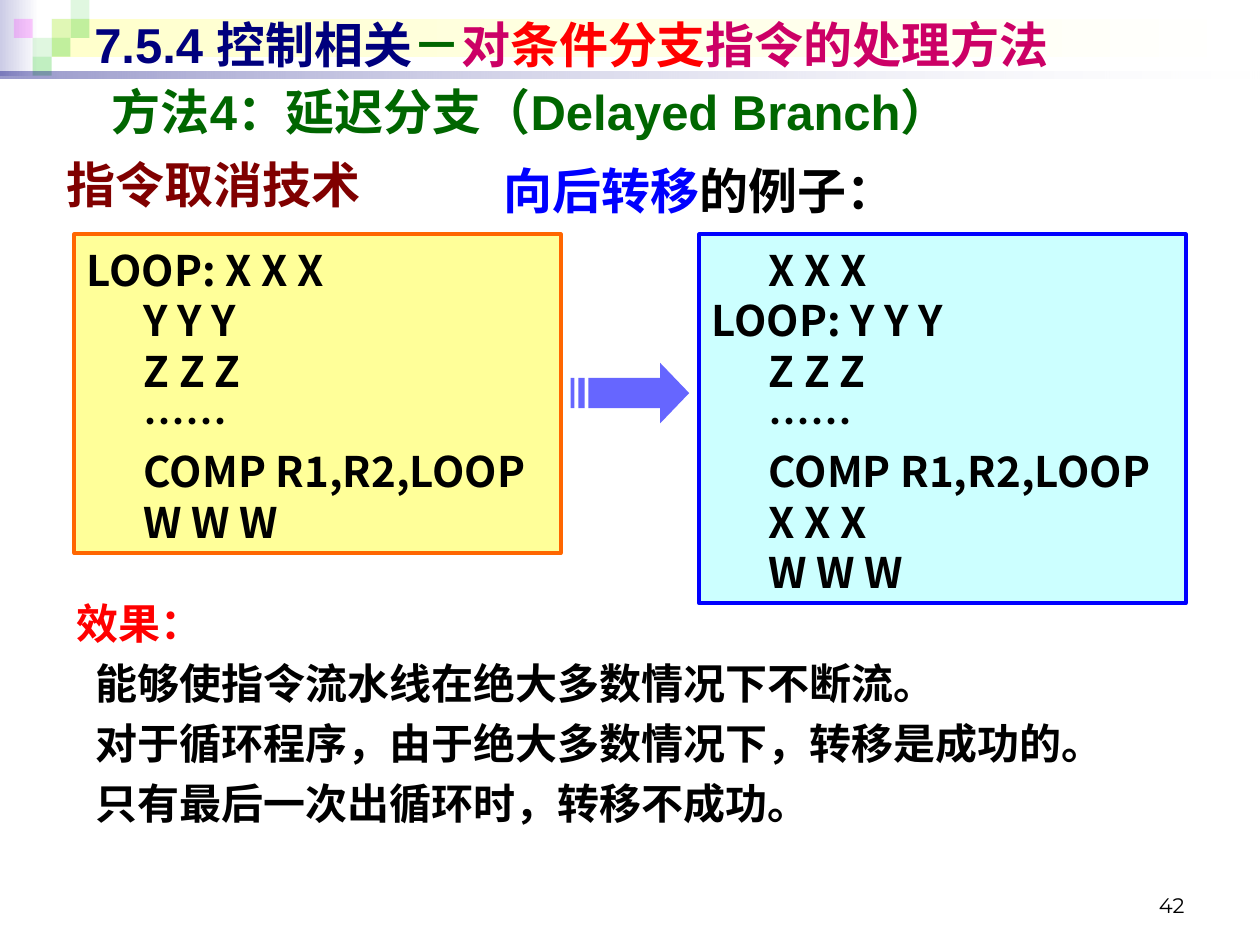
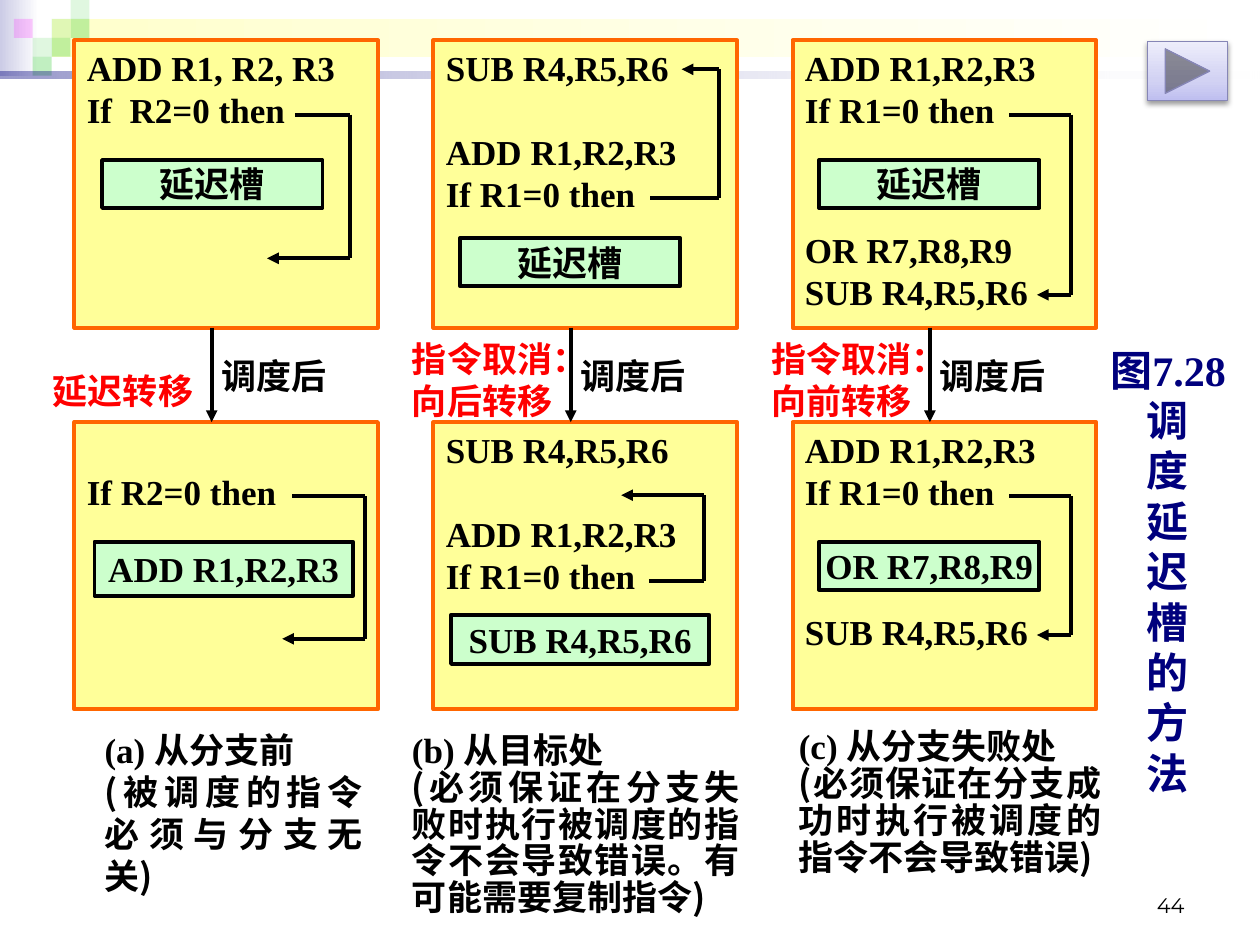
from dataclasses import dataclass
from itertools import pairwise

from lxml.etree import SubElement
from pptx import Presentation
from pptx.dml.color import RGBColor
from pptx.enum.shapes import MSO_CONNECTOR, MSO_SHAPE
from pptx.enum.text import MSO_ANCHOR, PP_ALIGN
from pptx.oxml.ns import qn
from pptx.util import Inches, Pt

COLORS = {
    "black": "000000", "white": "FFFFFF", "navy": "00007D", "green": "006600",
    "magenta": "CC0066", "red": "FF0000", "blue": "0000FF", "maroon": "800000",
    "orange": "FF6600", "yellow": "FFFF99", "cyan": "CCFFFF", "mint": "CCFFCC",
    "violet": "6666FF", "lilac": "CCCCE6", "cream": "FFFFCC", "leaf": "33CC33",
    "fuchsia": "FF00FF", "button_dark": "BFBFF0", "button_mid": "D2D2F3",
    "button_light": "EDEDFB", "button_edge": "8686B6",
}
SANS, SERIF, ARIAL = "Noto Sans CJK SC", "Times New Roman", "Arial"
CELL = 0.1
COLUMN_LEFT, COLUMN_PITCH = 5.9, 28.5
BOX_WIDTH, BOX_HEIGHT = 24.1, 22.8
ROW_TOPS = (3.2, 33.5)
BLANK_LINE = 24


@dataclass
class Line:
    runs: list
    gap: float = 0
    spacing: float = 1
    indent: float = 0


@dataclass
class Style:
    size: int = 20
    font: str = SERIF
    color: str = "black"
    bold: bool = True
    align: PP_ALIGN = PP_ALIGN.LEFT
    anchor: MSO_ANCHOR = MSO_ANCHOR.TOP
    inset: tuple = (0.1, 0.08)


LABEL = Style(align=PP_ALIGN.JUSTIFY, inset=(0, 0.03))
RED_LABEL = Style(color="red", align=PP_ALIGN.JUSTIFY, inset=(0, 0.03))
SLOT = Style(align=PP_ALIGN.CENTER, anchor=MSO_ANCHOR.MIDDLE, inset=(0, 0))
LOOP_CODE = Style(size=24, font=SANS)


def rgb(name):
    return RGBColor.from_string(COLORS[name])


def cells(*values):
    return [Inches(value * CELL) for value in values]


def write(shape, lines, style):
    frame = shape.text_frame
    frame.word_wrap = True
    frame.vertical_anchor = style.anchor
    side, top = style.inset
    frame.margin_left = frame.margin_right = Inches(side)
    frame.margin_top, frame.margin_bottom = Inches(top), Inches(min(top, 0.05))
    for index, line in enumerate(lines):
        if isinstance(line, str):
            line = Line([(line,)])
        para = frame.paragraphs[0] if index == 0 else frame.add_paragraph()
        para.alignment = style.align
        para.line_spacing = Pt(round(style.size * 1.2 * line.spacing, 1))
        para.space_before = Pt(line.gap)
        if line.indent:
            para._p.get_or_add_pPr().set("marL", str(Inches(line.indent)))
        for text, *look in line.runs:
            color, font = (*look, None, None)[:2]
            span = para.add_run()
            span.text = text
            span.font.size = Pt(style.size)
            span.font.bold = style.bold
            span.font.color.rgb = rgb(color or style.color)
            span.font.name = font or style.font
            latin = span._r.rPr.find(qn("a:latin"))
            east_asian = SubElement(span._r.rPr, qn("a:ea"), typeface=SANS)
            latin.addnext(east_asian)


def text_box(page, place, lines, style):
    write(page.shapes.add_textbox(*cells(*place)), lines, style)


def panel(page, place, fill=None, line=None, width=2.25, kind=MSO_SHAPE.RECTANGLE):
    shape = page.shapes.add_shape(kind, *cells(*place))
    shape.shadow.inherit = False
    if fill:
        shape.fill.solid()
        shape.fill.fore_color.rgb = rgb(fill)
    if line:
        shape.line.color.rgb = rgb(line)
        shape.line.width = Pt(width)
    else:
        shape.line.fill.background()
    return shape


def text_panel(page, place, fill, line, lines, style):
    write(panel(page, place, fill, line), lines, style)


def add_alpha(color, percent):
    SubElement(color, qn("a:alpha"), val=str(percent * 1000))


def gradient(shape, stops, angle=0):
    properties = shape._element.spPr
    grad = SubElement(properties, qn("a:gradFill"), rotWithShape="1")
    properties.find(qn("a:prstGeom")).addnext(grad)
    stop_list = SubElement(grad, qn("a:gsLst"))
    for position, color, alpha in stops:
        stop = SubElement(stop_list, qn("a:gs"), pos=str(position * 1000))
        add_alpha(SubElement(stop, qn("a:srgbClr"), val=COLORS[color]), alpha)
    SubElement(grad, qn("a:lin"), ang=str(angle * 60000), scaled="0")


def segment(page, start, end, arrow=False):
    line = page.shapes.add_connector(MSO_CONNECTOR.STRAIGHT, *cells(*start, *end))
    line.line.color.rgb = rgb("black")
    line.line.width = Pt(2.25)
    if arrow:
        SubElement(line.line._get_or_add_ln(), qn("a:tailEnd"), type="triangle")
    SubElement(line._element.spPr, qn("a:effectLst"))


def branch_path(page, left, top, start, elbow, end, first_row, last_row):
    points = [(start, first_row), (elbow, first_row), (elbow, last_row), (end, last_row)]
    points = [(left + column, top + row) for column, row in points]
    for index, (begin, finish) in enumerate(pairwise(points)):
        segment(page, begin, finish, arrow=index == 2)


def decorate(page, number):
    gradient(panel(page, (0, 0, 3.1, 6)), [(0, "lilac", 100), (100, "white", 100)])
    gradient(panel(page, (4.1, 1.5, 95.5, 3)), [(0, "cream", 100), (100, "white", 100)])
    tiles = [(2, 1, "leaf", 15), (3, 0, "leaf", 15), (3, 1, "leaf", 30),
             (1, 2, "leaf", 15), (0, 1, "fuchsia", 20), (2, 2, "leaf", 30),
             (1, 3, "leaf", 30)]
    for column, row, color, alpha in tiles:
        tile = panel(page, (1.1 + 1.5 * column, 1.5 * row, 1.5, 1.5), color)
        add_alpha(tile._element.spPr.find(qn("a:solidFill"))[0], alpha)
    gradient(panel(page, (0, 5.7, 100, 0.5)), [(0, "navy", 40), (100, "white", 10)])
    text_box(page, (71.7, 68.3, 23.3, 5), [str(number)],
             Style(12, "Montserrat", bold=False, align=PP_ALIGN.RIGHT,
                   anchor=MSO_ANCHOR.BOTTOM, inset=(0.1, 0.05)))


def new_page(deck, number):
    page = deck.slides.add_slide(deck.slide_layouts[6])
    decorate(page, number)
    return page


def striped_arrow(page, left, top):
    outlines = [
        [(7.1, 0), (7.1, 1.2), (1.4, 1.2), (1.4, 3.6), (7.1, 3.6), (7.1, 4.8), (9.4, 2.4)],
        [(0.6, 1.2), (0.6, 3.6), (1.1, 3.6), (1.1, 1.2)],
        [(0, 1.2), (0, 3.6), (0.3, 3.6), (0.3, 1.2)],
    ]
    outlines = [[cells(left + x, top + y) for x, y in outline] for outline in outlines]
    builder = page.shapes.build_freeform(*outlines[0][0])
    builder.add_line_segments(outlines[0][1:], close=True)
    for outline in outlines[1:]:
        builder.move_to(*outline[0])
        builder.add_line_segments(outline[1:], close=True)
    arrow = builder.convert_to_shape()
    arrow.shadow.inherit = False
    arrow.fill.solid()
    arrow.fill.fore_color.rgb = rgb("violet")
    arrow.line.fill.background()


def next_button(page):
    button = panel(page, (91.1, 3.3, 6.3, 4.7), line="button_edge", width=0.75,
                   kind=MSO_SHAPE.ACTION_BUTTON_FORWARD_OR_NEXT)
    gradient(button, [(0, "button_dark", 100), (35, "button_mid", 100),
                      (100, "button_light", 100)], 270)
    effects = button._element.spPr.find(qn("a:effectLst"))
    shadow = SubElement(effects, qn("a:outerShdw"), blurRad=str(Pt(3.1)),
                        dist=str(Pt(1.6)), dir="5400000", rotWithShape="0")
    add_alpha(SubElement(shadow, qn("a:srgbClr"), val=COLORS["black"]), 38)


def build_cancel_page(deck):
    page = new_page(deck, 42)
    heading = Style(28, ARIAL, anchor=MSO_ANCHOR.MIDDLE)
    title = [("7.5.4 控制相关", "navy"), ("－", "green"), ("对", "magenta"),
             ("条件分支", "red"), ("指令的处理方法", "magenta")]
    text_box(page, (6.5, 0.5, 90, 5.7), [Line(title)], heading)
    text_box(page, (39, 11.5, 37, 6.3),
             [Line([("向后转移", "blue"), ("的例子：",)], spacing=1.1)], Style(28))
    text_box(page, (7.9, 5.8, 90.2, 5.7),
             [Line([("方法4：延迟分支（Delayed Branch）", "green")])], heading)
    text_box(page, (4.3, 11.5, 92.9, 6.3), ["指令取消技术"], Style(28, SANS, "maroon"))
    text_panel(page, (5.9, 18.6, 38.6, 25.3), "yellow", "orange",
               ["LOOP: X X X", "      Y Y Y", "      Z Z Z", "      ……",
                "      COMP R1,R2,LOOP", "      W W W"], LOOP_CODE)
    text_panel(page, (55.5, 18.6, 38.6, 29.3), "cyan", "blue",
               ["      X X X", "LOOP: Y Y Y", "      Z Z Z", "      ……",
                "      COMP R1,R2,LOOP", "      X X X", "      W W W"], LOOP_CODE)
    striped_arrow(page, 45.3, 28.8)
    effects = ["能够使指令流水线在绝大多数情况下不断流。",
               "对于循环程序，由于绝大多数情况下，转移是成功的。",
               "只有最后一次出循环时，转移不成功。"]
    text_box(page, (5.1, 46.2, 86.6, 19.8),
             [Line([("效果：", "red")], spacing=1.1)]
             + [Line([(effect,)], 2.6, 1.1, 0.15) for effect in effects], LOOP_CODE)


def code_box(page, left, top, code, slot, slot_text, branch, head_gap=0):
    style = Style(align=PP_ALIGN.JUSTIFY, inset=(0.1, 0.05 + head_gap / 72))
    lines = [Line([(text,)], gap) for text, gap in code]
    text_panel(page, (left, top, BOX_WIDTH, BOX_HEIGHT), "yellow", "orange", lines, style)
    column, row, width, height = slot
    text_panel(page, (left + column, top + row, width, height), "mint", "black",
               [slot_text], SLOT)
    branch_path(page, left, top, *branch)


def caption(page, place, heading, detail, spacing):
    runs = [("(", None, SANS), (detail,), (")", None, SANS)]
    text_panel(page, place, "white", None, [heading, Line(runs, spacing=spacing)], LABEL)


def build_schedule_page(deck):
    page = new_page(deck, 44)
    target_code = [("SUB R4,R5,R6", 0), ("ADD R1,R2,R3", BLANK_LINE), ("If R1=0 then", 0)]
    fall_code = [("ADD R1,R2,R3", 0), ("If R1=0 then", 0)]
    far_gap = 2 * BLANK_LINE + 7.8
    columns = [
        dict(boxes=[
            dict(code=[("ADD R1, R2, R3", 0), ("If  R2=0 then", 0)],
                 slot=(2.2, 9.5, 17.5, 3.8), slot_text="延迟槽",
                 branch=(17.5, 21.9, 15.3, 5.9, 17.3)),
            dict(code=[("If R2=0 then", 0)], head_gap=BLANK_LINE,
                 slot=(1.6, 9.5, 20.5, 4.3), slot_text="ADD R1,R2,R3",
                 branch=(17.3, 23.1, 16.5, 5.9, 17.2))],
             kind=["延迟转移"], kind_top=29,
             caption=(2.4, 57.5, 20.5, 11.1), heading="(a) 从分支前",
             detail="被调度的指令必须与分支无关", spacing=1),
        dict(boxes=[
            dict(code=target_code, slot=(2.1, 15.7, 17.5, 3.8), slot_text="延迟槽",
                 branch=(17.2, 22.7, 19.7, 12.5, 2.3)),
            dict(code=target_code, slot=(1.4, 15.3, 20.5, 3.9), slot_text="SUB R4,R5,R6",
                 branch=(17.1, 21.5, 14.9, 12.6, 5.8))],
             kind=["指令取消：", "向后转移"], kind_top=26.5,
             caption=(-1.7, 57.5, 26, 14.7), heading="(b) 从目标处",
             detail="必须保证在分支失败时执行被调度的指令不会导致错误。有可能需要复制指令",
             spacing=0.88),
        dict(boxes=[
            dict(code=fall_code + [("OR R7,R8,R9", far_gap), ("SUB R4,R5,R6", 0)],
                 slot=(2.1, 9.5, 17.5, 3.8), slot_text="延迟槽",
                 branch=(17.2, 22.1, 19.4, 5.9, 20.2)),
            dict(code=fall_code + [("SUB R4,R5,R6", far_gap)],
                 slot=(2.1, 9.5, 17.5, 3.8), slot_text="OR R7,R8,R9",
                 branch=(17.2, 22.1, 19.4, 5.9, 16.9))],
             kind=["指令取消：", "向前转移"], kind_top=26.5,
             caption=(0.5, 57.2, 24, 12.2), heading="(c) 从分支失败处",
             detail="必须保证在分支成功时执行被调度的指令不会导致错误", spacing=0.88),
    ]
    for index, column in enumerate(columns):
        left = COLUMN_LEFT + index * COLUMN_PITCH
        for top, box in zip(ROW_TOPS, column["boxes"]):
            code_box(page, left, top, **box)
        segment(page, (left + 10.9, ROW_TOPS[0] + BOX_HEIGHT),
                (left + 10.9, ROW_TOPS[1]), arrow=True)
        text_panel(page, (left + 11.7, 27.8, 8.8, 3.8), "white", None, ["调度后"], LABEL)
        text_box(page, (left - 1.7, column["kind_top"], 17.3, 3.9 * len(column["kind"])),
                 column["kind"], RED_LABEL)
        offset, *rest = column["caption"]
        caption(page, (left + offset, *rest), column["heading"], column["detail"],
                column["spacing"])
    text_box(page, (87.4, 25.2, 10.6, 40.2), ["图7.28", *"调度延迟槽的方法"],
             Style(24, color="navy", align=PP_ALIGN.CENTER,
                   anchor=MSO_ANCHOR.MIDDLE, inset=(0, 0)))
    next_button(page)


def main():
    deck = Presentation()
    deck.slide_width, deck.slide_height = Inches(10), Inches(7.5)
    build_cancel_page(deck)
    build_schedule_page(deck)
    deck.save("out.pptx")


if __name__ == "__main__":
    main()
